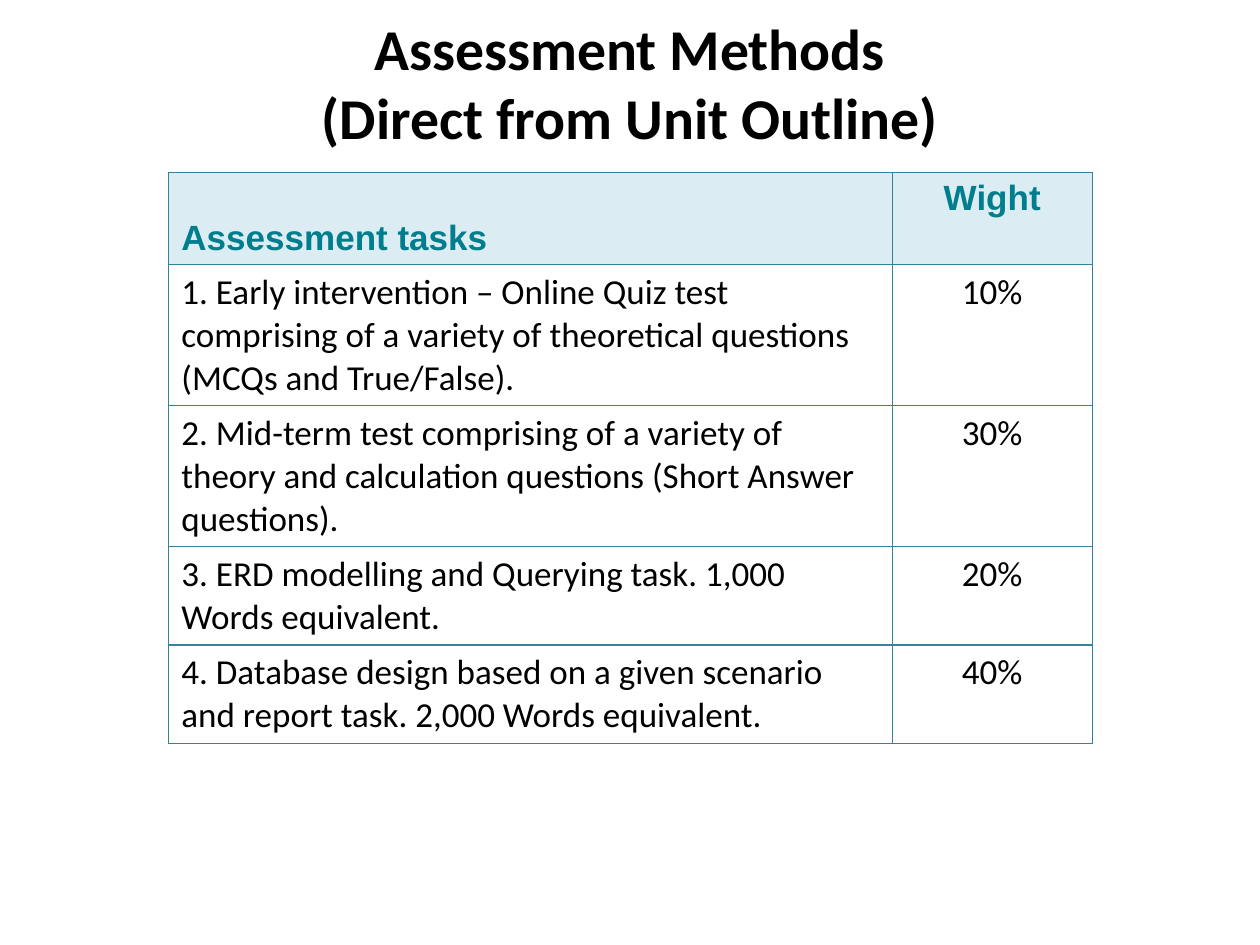
from dataclasses import dataclass

from lxml.etree import SubElement
from pptx import Presentation
from pptx.dml.color import RGBColor
from pptx.enum.text import MSO_ANCHOR, PP_ALIGN
from pptx.oxml.ns import qn
from pptx.util import Inches, Pt

WIDTH, HEIGHT = Inches(10), Inches(7.5)


@dataclass(frozen=True)
class TextStyle:
    font: str
    size: float
    color: str
    bold: bool = False


@dataclass(frozen=True)
class Theme:
    title: TextStyle = TextStyle("Calibri", 33, "000000", True)
    header: TextStyle = TextStyle("Arial", 20, "007E8D", True)
    body: TextStyle = TextStyle("Calibri", 20, "000000")
    header_fill: str = "DBEDF3"
    border: str = "30849B"
    border_width: float = 0.75


@dataclass(frozen=True)
class Assessment:
    task: str
    weight: str
    lines: int


THEME = Theme()
TITLE = ("Assessment Methods", "(Direct from Unit Outline)")
ASSESSMENTS = (
    Assessment("1. Early intervention – Online Quiz test comprising of a variety of "
               "theoretical questions (MCQs and True/False).", "10%", 3),
    Assessment("2. Mid-term test comprising of a variety of theory and calculation "
               "questions (Short Answer questions).", "30%", 3),
    Assessment("3. ERD modelling and Querying task. 1,000 Words equivalent.", "20%", 2),
    Assessment("4. Database design based on a given scenario and report task. "
               "2,000 Words equivalent.", "40%", 2),
)
COLUMNS = (Inches(5.74), Inches(1.59))
HEADER_HEIGHT = Inches(0.73)
LINE_HEIGHT = Inches(0.34)
CELL_PADDING = Inches(0.05)


def add_run(p, text: str, style: TextStyle) -> None:
    r = p.add_run()
    r.text = text
    r.font.name = style.font
    r.font.size = Pt(style.size)
    r.font.bold = style.bold
    r.font.color.rgb = RGBColor.from_string(style.color)


def add_title(slide, lines: tuple[str, ...]) -> None:
    tf = slide.shapes.add_textbox(int(WIDTH * 0.05), 0, int(WIDTH * 0.9), Inches(1.3)).text_frame
    tf.word_wrap = True
    tf.vertical_anchor = MSO_ANCHOR.MIDDLE
    p = tf.paragraphs[0]
    p.alignment = PP_ALIGN.CENTER
    for i, line in enumerate(lines):
        if i:
            p.add_line_break()
        add_run(p, line, THEME.title)


def add_borders(cell) -> None:
    """Draw all four sides; must run before the fill, which follows them in the XML."""
    tc_pr = cell._tc.get_or_add_tcPr()
    for side in ("a:lnL", "a:lnR", "a:lnT", "a:lnB"):
        ln = SubElement(tc_pr, qn(side), w=str(Pt(THEME.border_width)))
        SubElement(SubElement(ln, qn("a:solidFill")), qn("a:srgbClr"), val=THEME.border)


def fill_cell(cell, text: str, style: TextStyle, centered: bool, fill: str | None = None) -> None:
    add_borders(cell)
    if fill:
        cell.fill.solid()
        cell.fill.fore_color.rgb = RGBColor.from_string(fill)
    else:
        cell.fill.background()
    cell.margin_top = cell.margin_bottom = CELL_PADDING
    cell.margin_left = cell.margin_right = Inches(0.1)
    p = cell.text_frame.paragraphs[0]
    p.alignment = PP_ALIGN.CENTER if centered else PP_ALIGN.LEFT
    add_run(p, text, style)


def add_assessment_table(slide) -> None:
    heights = [HEADER_HEIGHT] + [a.lines * LINE_HEIGHT + 2 * CELL_PADDING for a in ASSESSMENTS]
    table = slide.shapes.add_table(len(heights), len(COLUMNS), Inches(1.34), Inches(1.37),
                                   sum(COLUMNS), sum(heights)).table
    for column, width in zip(table.columns, COLUMNS):
        column.width = width
    for row, height in zip(table.rows, heights):
        row.height = height

    for col, heading in enumerate(("Assessment tasks", "Wight")):
        fill_cell(table.cell(0, col), heading, THEME.header, col == 1, THEME.header_fill)
    table.cell(0, 0).vertical_anchor = MSO_ANCHOR.BOTTOM

    for row, item in enumerate(ASSESSMENTS, start=1):
        fill_cell(table.cell(row, 0), item.task, THEME.body, False)
        fill_cell(table.cell(row, 1), item.weight, THEME.body, True)


def main() -> None:
    prs = Presentation()
    prs.slide_width, prs.slide_height = WIDTH, HEIGHT
    slide = prs.slides.add_slide(prs.slide_layouts[6])
    add_title(slide, TITLE)
    add_assessment_table(slide)
    prs.save("out.pptx")


if __name__ == "__main__":
    main()
